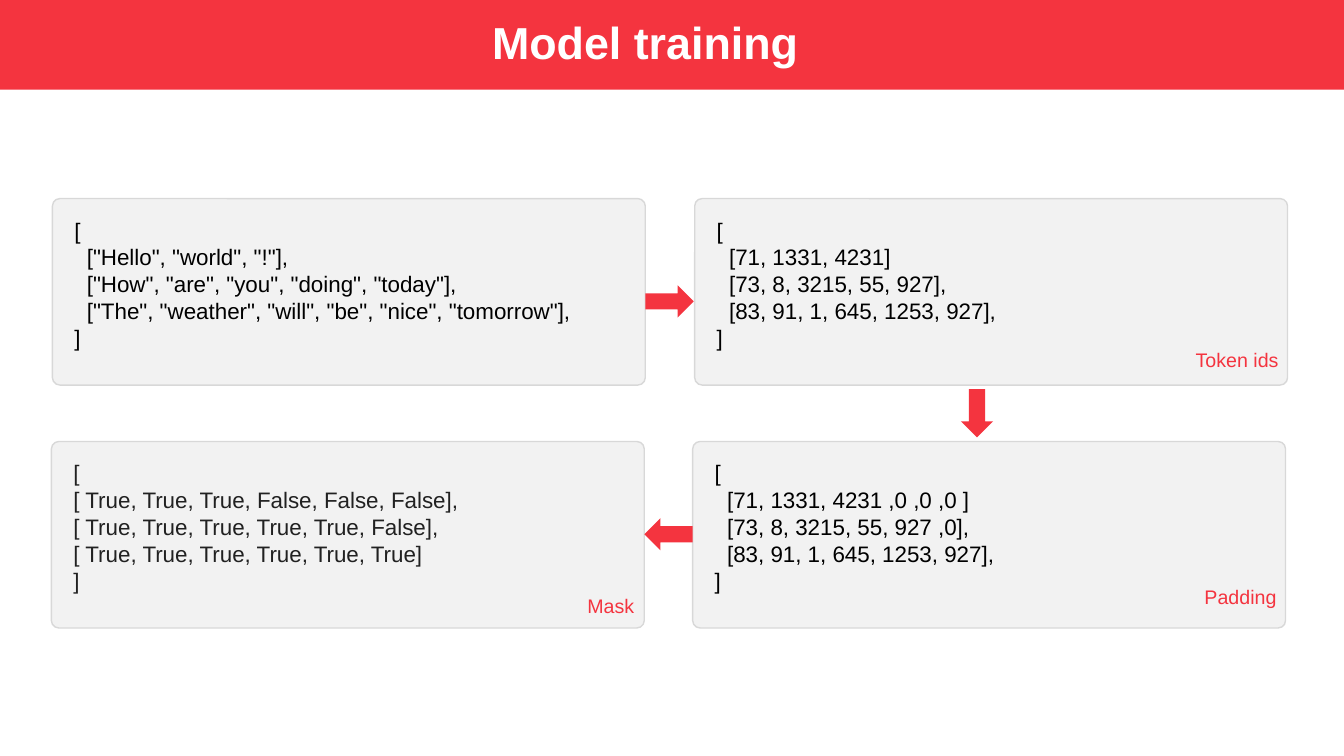
from dataclasses import dataclass

from pptx import Presentation
from pptx import util as u
from pptx.dml import color
from pptx.enum import shapes, text

PX = 9144


@dataclass(frozen=True)
class Theme:
    font: str = "Arial"
    red: str = "F4343F"
    white: str = "FFFFFF"
    panel: str = "F2F2F2"
    edge: str = "D8D8D8"
    black: str = "000000"
    dark: str = "212121"
    title: int = 32
    code: int = 16
    label: int = 14


@dataclass(frozen=True)
class Box:
    left: int
    top: int
    width: int
    height: int

    def emu(self) -> tuple[int, int, int, int]:
        return self.left * PX, self.top * PX, self.width * PX, self.height * PX


@dataclass(frozen=True)
class Panel:
    left: int
    top: int
    tint: str
    code: str


@dataclass(frozen=True)
class Arrow:
    left: int
    top: int
    turn: int


@dataclass(frozen=True)
class Label:
    left: int
    top: int
    name: str


THEME = Theme()

PANELS = [
    Panel(52, 197, THEME.black, """[
  ["Hello", "world", "!"],
  ["How", "are", "you", "doing", "today"],
  ["The", "weather", "will", "be", "nice", "tomorrow"],
]"""),
    Panel(689, 197, THEME.black, """[
  [71, 1331, 4231]
  [73, 8, 3215, 55, 927],
  [83, 91, 1, 645, 1253, 927],
]"""),
    Panel(687, 438, THEME.black, """[
  [71, 1331, 4231 ,0 ,0 ,0 ]
  [73, 8, 3215, 55, 927 ,0],
  [83, 91, 1, 645, 1253, 927],
]"""),
    Panel(51, 438, THEME.dark, """[
[ True, True, True, False, False, False],
[ True, True, True, True, True, False],
[ True, True, True, True, True, True]
]"""),
]

ARROWS = [Arrow(640, 283, 0), Arrow(945, 394, 90), Arrow(639, 514, 180)]

LABELS = [
    Label(1097, 340, "Token ids"),
    Label(1095, 575, "Padding"),
    Label(458, 584, "Mask"),
]


def add_shape(slide, kind, box: Box, fill: str, edge: str = ""):
    shape = slide.shapes.add_shape(kind, *box.emu())
    shape.shadow.inherit = False
    shape.fill.solid()
    shape.fill.fore_color.rgb = color.RGBColor.from_string(fill)
    if edge:
        shape.line.color.rgb = color.RGBColor.from_string(edge)
        shape.line.width = u.Pt(1)
    else:
        shape.line.fill.background()
    return shape


def write(shape, words: str, size: int, tint: str, align, bold: bool = False) -> None:
    frame = shape.text_frame
    frame.word_wrap = True
    frame.auto_size = text.MSO_AUTO_SIZE.NONE
    frame.vertical_anchor = text.MSO_ANCHOR.TOP
    for row, line in enumerate(words.split("\n")):
        para = frame.add_paragraph() if row else frame.paragraphs[0]
        para.alignment = align
        run = para.add_run()
        run.text = line
        run.font.name = THEME.font
        run.font.size = u.Pt(size)
        run.font.bold = bold
        run.font.color.rgb = color.RGBColor.from_string(tint)


def add_text(slide, box: Box, words: str, size: int, tint: str, align) -> None:
    write(slide.shapes.add_textbox(*box.emu()), words, size, tint, align)


def add_title(slide) -> None:
    bar = add_shape(slide, shapes.MSO_SHAPE.RECTANGLE, Box(0, 0, 1333, 89), THEME.red)
    title = slide.shapes.title
    title.element.addprevious(bar.element)
    title.left, title.top, title.width, title.height = Box(219, 10, 842, 64).emu()
    write(title, "Model training", THEME.title, THEME.white, text.PP_ALIGN.CENTER, True)


def add_panel(slide, panel: Panel) -> None:
    box = Box(panel.left, panel.top, 588, 185)
    card = add_shape(slide, shapes.MSO_SHAPE.ROUNDED_RECTANGLE, box, THEME.panel, THEME.edge)
    card.adjustments[0] = 0.04
    inner = Box(panel.left + 12, panel.top + 13, 539, 145)
    add_text(slide, inner, panel.code, THEME.code, panel.tint, text.PP_ALIGN.LEFT)


def add_arrow(slide, arrow: Arrow) -> None:
    box = Box(arrow.left, arrow.top, 48, 32)
    shape = add_shape(slide, shapes.MSO_SHAPE.RIGHT_ARROW, box, THEME.red)
    shape.rotation = arrow.turn


def add_label(slide, label: Label) -> None:
    box = Box(label.left, label.top, 181, 34)
    add_text(slide, box, label.name, THEME.label, THEME.red, text.PP_ALIGN.RIGHT)


def main() -> None:
    deck = Presentation()
    deck.slide_width, deck.slide_height = 1333 * PX, 750 * PX
    slide = deck.slides.add_slide(deck.slide_layouts[5])
    add_title(slide)
    for panel in PANELS:
        add_panel(slide, panel)
    for arrow in ARROWS:
        add_arrow(slide, arrow)
    for label in LABELS:
        add_label(slide, label)
    deck.save("out.pptx")


if __name__ == "__main__":
    main()
